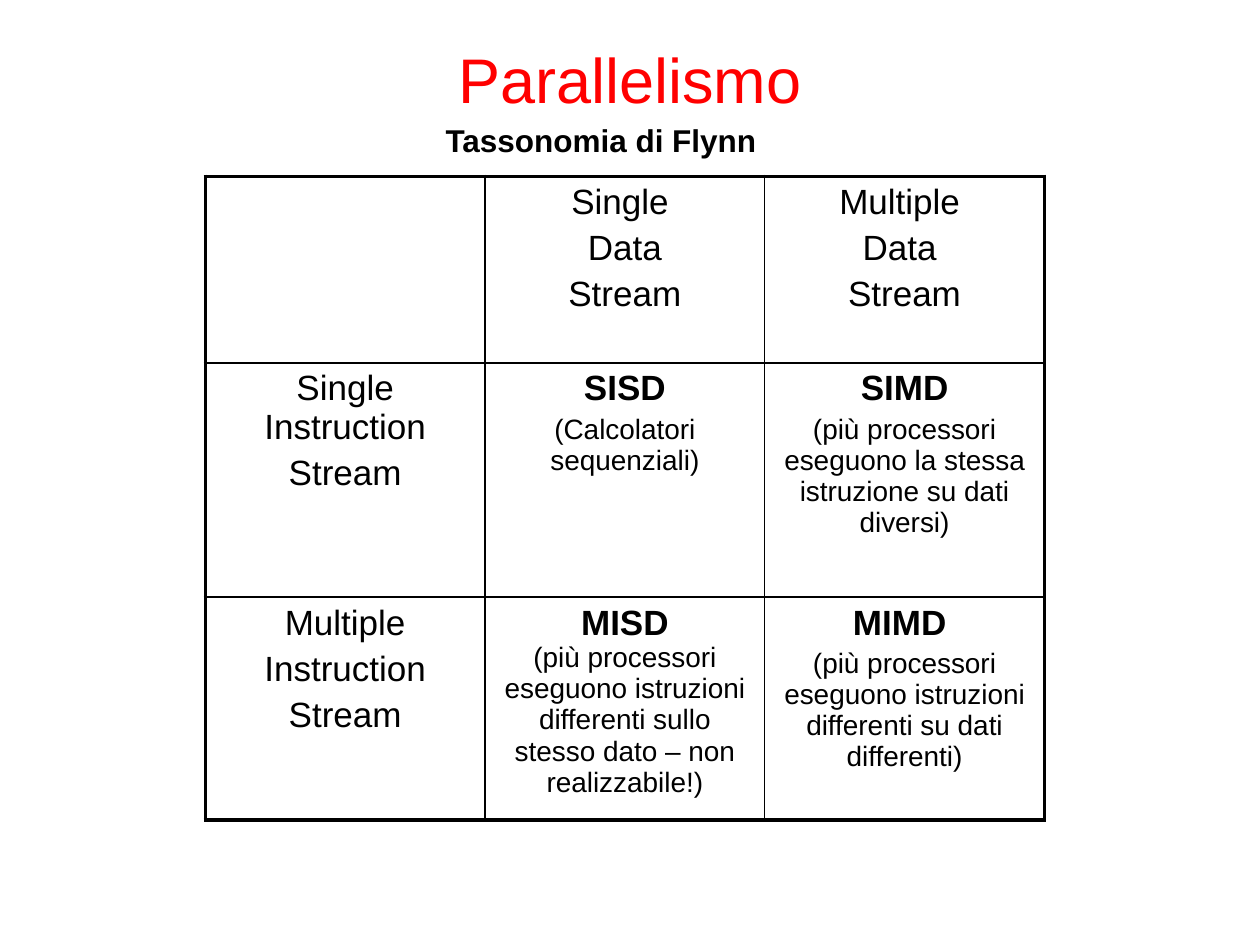
from lxml import etree
from pptx import Presentation
from pptx.dml.color import RGBColor
from pptx.enum.text import MSO_ANCHOR, PP_ALIGN
from pptx.oxml.ns import qn
from pptx.util import Inches, Pt

CENTER = PP_ALIGN.CENTER
MIDDLE = MSO_ANCHOR.MIDDLE
BLACK = RGBColor(0, 0, 0)
RED = RGBColor(255, 0, 0)
FONT = "Arial"
THIN, THICK = 1, 2.25


def write(para, text, size=20, bold=False, color=BLACK, before=0):
    para.alignment = CENTER
    para.space_before = Pt(before)
    span = para.add_run()
    span.text = text
    span.font.name = FONT
    span.font.size = Pt(size)
    span.font.bold = bold
    span.font.color.rgb = color


def draw_border(cell, side, width):
    line = etree.SubElement(cell._tc.get_or_add_tcPr(), qn(f"a:{side}"), w=str(Pt(width)))
    fill = etree.SubElement(line, qn("a:solidFill"))
    etree.SubElement(fill, qn("a:srgbClr"), val=str(BLACK))


deck = Presentation()
deck.slide_width = Inches(10)
deck.slide_height = Inches(7.5)
page = deck.slides.add_slide(deck.slide_layouts[5])

title = page.shapes.title
title.left, title.top = 0, 0
title.width, title.height = deck.slide_width, deck.slide_height // 6
title.text_frame.vertical_anchor = MIDDLE
write(title.text_frame.paragraphs[0], "Parallelismo", size=36, color=RED)

subtitle = page.shapes.add_textbox(Inches(0.41), Inches(0.91), Inches(8.79), Inches(0.4))
subtitle.text_frame.word_wrap = True
write(subtitle.text_frame.paragraphs[0], "Tassonomia di Flynn ", size=18, bold=True)

HEADING, NAME, NOTE = (
    {"size": 20, "before": 4},
    {"size": 20, "bold": True},
    {"size": 16, "before": 3.2},
)
TIGHT_NOTE = {"size": 16}
taxonomy = [
    [
        [],
        [("Single ", HEADING), ("Data", HEADING), ("Stream", HEADING)],
        [("Multiple ", HEADING), ("Data ", HEADING), ("Stream", HEADING)],
    ],
    [
        [("Single Instruction", HEADING), ("Stream", HEADING)],
        [("SISD", NAME), ("(Calcolatori sequenziali)", NOTE)],
        [("SIMD", NAME), ("(più processori eseguono la stessa istruzione su dati diversi)", NOTE)],
    ],
    [
        [("Multiple", HEADING), ("Instruction", HEADING), ("Stream", HEADING)],
        [("MISD", NAME), ("(più processori eseguono istruzioni differenti sullo stesso dato – non realizzabile!)", TIGHT_NOTE)],
        [("MIMD ", NAME), ("(più processori eseguono istruzioni differenti su dati differenti)", NOTE)],
    ],
]

row_heights = [1.48, 1.86, 1.77]
column_width = 2.22
last = len(taxonomy) - 1
table = page.shapes.add_table(
    3, 3, Inches(1.63), Inches(1.4), Inches(3 * column_width), Inches(sum(row_heights))
).table
table.first_row = False
table.horz_banding = False
for column in table.columns:
    column.width = Inches(column_width)

for row, contents in enumerate(taxonomy):
    table.rows[row].height = Inches(row_heights[row])
    for column, lines in enumerate(contents):
        cell = table.cell(row, column)
        for index, (text, style) in enumerate(lines):
            para = cell.text_frame.add_paragraph() if index else cell.text_frame.paragraphs[0]
            write(para, text, **(style if index else {**style, "before": 0}))
        edges = {"lnL": column == 0, "lnR": column == last, "lnT": row == 0, "lnB": row == last}
        for side, outer in edges.items():
            draw_border(cell, side, THICK if outer else THIN)
        cell.fill.background()

deck.save("out.pptx")
